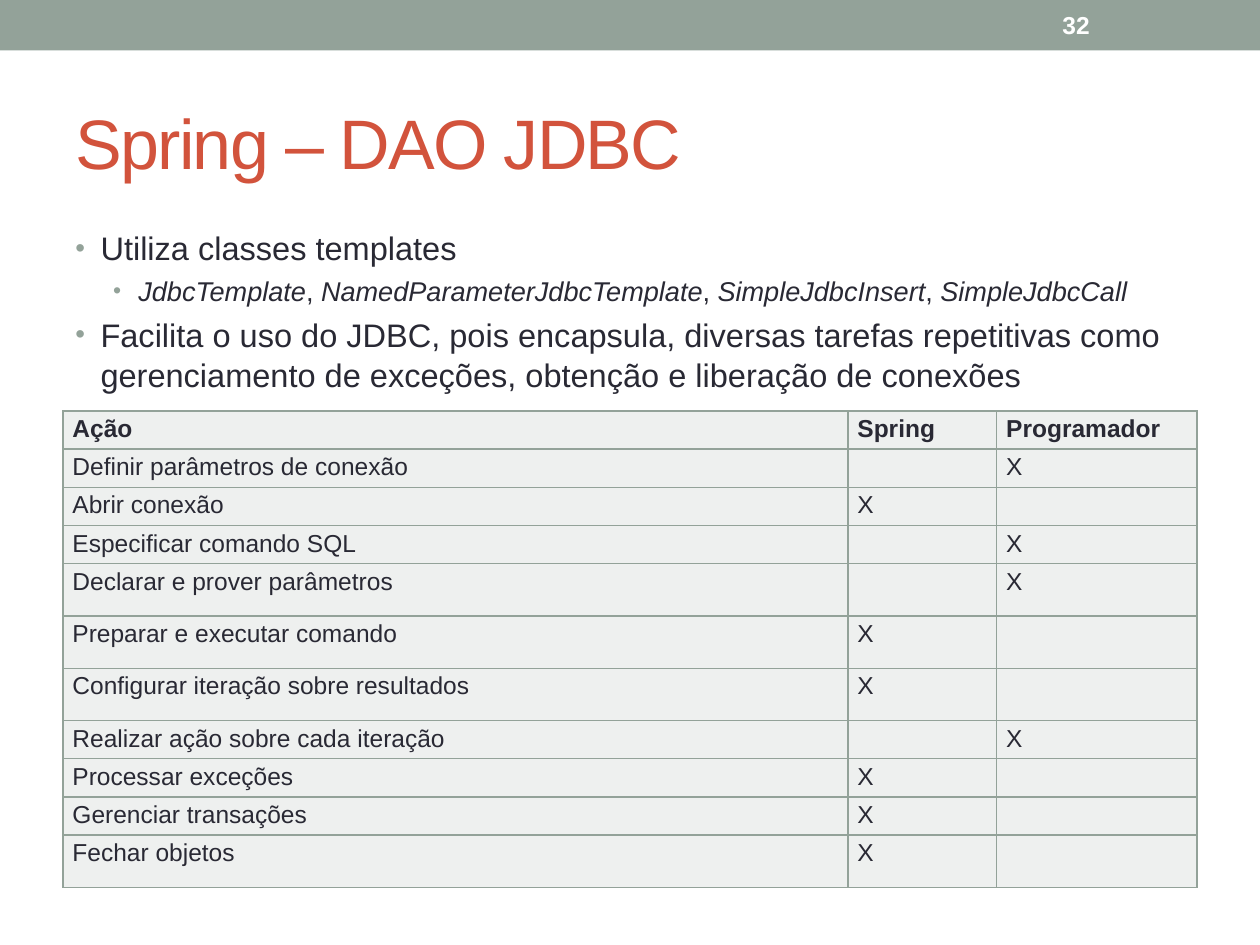
from lxml.etree import SubElement
from pptx import Presentation
from pptx.dml.color import RGBColor
from pptx.enum.shapes import MSO_SHAPE
from pptx.enum.text import MSO_ANCHOR, MSO_AUTO_SIZE, PP_ALIGN
from pptx.oxml.ns import qn
from pptx.util import Pt

RECTANGLE = MSO_SHAPE.RECTANGLE
MIDDLE, TOP = MSO_ANCHOR.MIDDLE, MSO_ANCHOR.TOP
LEFT = PP_ALIGN.LEFT
NO_AUTOFIT = MSO_AUTO_SIZE.NONE

COLORS = {"sage": "93A299", "red": "D2533C", "ink": "292934",
          "white": "FFFFFF", "cell": "EEF0EF"}
FONT = "Arial"
MARGIN, CONTENT_WIDTH = 36, 648

# Each bullet: level, space before, runs as (text, italic)
TEMPLATES = ["JdbcTemplate", "NamedParameterJdbcTemplate",
             "SimpleJdbcInsert", "SimpleJdbcCall"]
template_runs = [(TEMPLATES[0], True)]
for template in TEMPLATES[1:]:
    template_runs += [(", ", False), (template, True)]
BULLETS = [
    (0, 1.5, [("Utiliza classes templates", False)]),
    (1, 3.5, template_runs),
    (0, 3.5, [("Facilita o uso do JDBC, pois encapsula, diversas tarefas "
               "repetitivas como gerenciamento de exceções, obtenção e "
               "liberação de conexões", False)]),
]
BULLET_SIZES = [18.6, 15.5]
BULLET_INDENTS = [14.4, 36]
HANGING = 14.4

# Each task: action, who does it, row height
HEADER = ["Ação", "Spring", "Programador"]
SHORT, TALL = 21.15, 29.9
TASKS = [
    ("Definir parâmetros de conexão", "Programador", SHORT),
    ("Abrir conexão", "Spring", SHORT),
    ("Especificar comando SQL", "Programador", SHORT),
    ("Declarar e prover parâmetros", "Programador", TALL),
    ("Preparar e executar comando", "Spring", TALL),
    ("Configurar iteração sobre resultados", "Spring", TALL),
    ("Realizar ação sobre cada iteração", "Programador", SHORT),
    ("Processar exceções", "Spring", SHORT),
    ("Gerenciar transações", "Spring", SHORT),
    ("Fechar objetos", "Spring", TALL),
]
COLUMN_WIDTHS = [448.6, 85, 114.4]
TABLE_TEXT_SIZE = 14


def rgb(name):
    return RGBColor.from_string(COLORS[name])


class SlideBuilder:
    def __init__(self, page):
        self.page = page

    def add_run(self, para, text, size, color, bold=False, italic=False):
        span = para.add_run()
        span.text = text
        font = span.font
        font.name, font.size = FONT, Pt(size)
        font.bold, font.italic = bold, italic
        font.color.rgb = rgb(color)
        return span

    def title(self, text, left, top, width, height):
        box = self.page.shapes.title
        box.left, box.top, box.width, box.height = map(
            Pt, (left, top, width, height))
        frame = box.text_frame
        frame.auto_size = NO_AUTOFIT
        frame.vertical_anchor = MIDDLE
        para = frame.paragraphs[0]
        para.alignment = LEFT
        span = self.add_run(para, text, 40, "red")
        span.font._element.set("spc", "-100")

    def bar(self, left, top, width, height, color):
        box = self.page.shapes.add_shape(
            RECTANGLE, *map(Pt, (left, top, width, height)))
        box.shadow.inherit = False
        box.fill.solid()
        box.fill.fore_color.rgb = rgb(color)
        box.line.fill.background()

    def text_box(self, left, top, width, height, anchor):
        box = self.page.shapes.add_textbox(
            *map(Pt, (left, top, width, height)))
        frame = box.text_frame
        frame.word_wrap = True
        frame.vertical_anchor = anchor
        return frame

    def page_number(self, text, left, top, width, height):
        frame = self.text_box(left, top, width, height, MIDDLE)
        self.add_run(frame.paragraphs[0], text, 14, "white", bold=True)

    def bullet_list(self, bullets, left, top, width, height):
        frame = self.text_box(left, top, width, height, TOP)
        for index, (level, space, runs) in enumerate(bullets):
            para = frame.add_paragraph() if index else frame.paragraphs[0]
            para.level = level
            para.line_spacing = 1.04
            para.space_before = Pt(space)
            self.add_bullet(para, BULLET_INDENTS[level])
            for text, italic in runs:
                self.add_run(para, text, BULLET_SIZES[level], "ink",
                             italic=italic)

    def add_bullet(self, para, indent):
        props = para._p.get_or_add_pPr()
        props.set("marL", str(Pt(indent)))
        props.set("indent", str(-Pt(HANGING)))
        color = SubElement(props, qn("a:buClr"))
        SubElement(color, qn("a:srgbClr"), val=COLORS["sage"])
        SubElement(props, qn("a:buSzPct"), val="85000")
        SubElement(props, qn("a:buFont"), typeface=FONT)
        SubElement(props, qn("a:buChar"), char="•")

    def table(self, rows, heights, widths, left, top):
        frame = self.page.shapes.add_table(
            len(rows), len(widths),
            *map(Pt, (left, top, sum(widths), sum(heights))))
        table = frame.table
        table.first_row = table.horz_banding = False
        for column, width in zip(table.columns, widths):
            column.width = Pt(width)
        for row_index, (texts, height) in enumerate(zip(rows, heights)):
            table.rows[row_index].height = Pt(height)
            for cell, text in zip(table.rows[row_index].cells, texts):
                self.fill_cell(cell, text, bold=row_index == 0)

    def fill_cell(self, cell, text, bold):
        cell.margin_left = cell.margin_right = Pt(5.4)
        cell.margin_top = cell.margin_bottom = Pt(2.5)
        # Borders come before the fill in the cell properties
        props = cell._tc.get_or_add_tcPr()
        for side in ("lnL", "lnR", "lnT", "lnB"):
            line = SubElement(props, qn("a:" + side), w=str(Pt(1)))
            solid = SubElement(line, qn("a:solidFill"))
            SubElement(solid, qn("a:srgbClr"), val=COLORS["sage"])
        cell.fill.solid()
        cell.fill.fore_color.rgb = rgb("cell")
        para = cell.text_frame.paragraphs[0]
        if text:
            self.add_run(para, text, TABLE_TEXT_SIZE, "ink", bold=bold)
        else:
            # Keeps empty cells from stretching the row
            SubElement(para._p, qn("a:endParaRPr"),
                       sz=str(TABLE_TEXT_SIZE * 100))


def main():
    deck = Presentation()
    deck.slide_width, deck.slide_height = Pt(720), Pt(540)
    builder = SlideBuilder(deck.slides.add_slide(deck.slide_layouts[5]))

    # Top bar, title and page number
    builder.bar(0, 0, 720, 28.8, "sage")
    builder.title("Spring – DAO JDBC", MARGIN, 41.8, CONTENT_WIDTH, 77.8)
    builder.page_number("32", 600, 1.4, 84, 26)

    # Bullets
    builder.bullet_list(BULLETS, MARGIN, 126, CONTENT_WIDTH, 98.6)

    # Who does what
    rows = [HEADER]
    for action, owner, _ in TASKS:
        rows.append([action] + ["X" if name == owner else ""
                                for name in HEADER[1:]])
    heights = [SHORT] + [height for _, _, height in TASKS]
    builder.table(rows, heights, COLUMN_WIDTHS, MARGIN, 234.8)

    deck.save("out.pptx")


if __name__ == "__main__":
    main()
